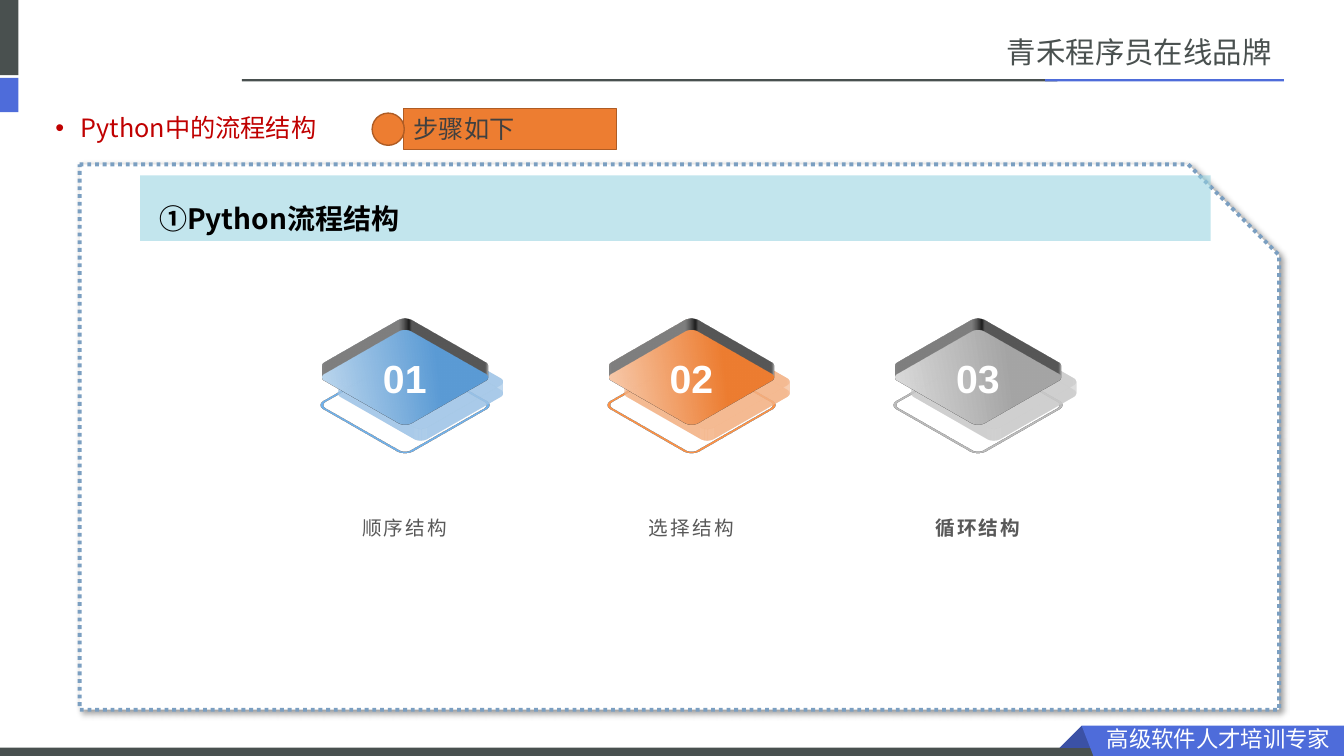
from dataclasses import dataclass

import lxml.etree
import pptx
import pptx.dml.color
import pptx.enum.dml
import pptx.enum.shapes
import pptx.enum.text
import pptx.oxml
import pptx.oxml.ns
import pptx.util

Pt = pptx.util.Pt
RGB = pptx.dml.color.RGBColor
SHAPE = pptx.enum.shapes.MSO_SHAPE
ANCHOR = pptx.enum.text.MSO_ANCHOR
ALIGN = pptx.enum.text.PP_ALIGN
qn = pptx.oxml.ns.qn

WHITE = RGB(0xFF, 0xFF, 0xFF)
BLACK = RGB(0, 0, 0)
SLATE = RGB(0x49, 0x50, 0x4F)
BLUE = RGB(0x4E, 0x6C, 0xDA)
NAVY = RGB(0x3B, 0x51, 0xA5)
RED = RGB(0xC0, 0, 0)
ORANGE = RGB(0xED, 0x7D, 0x31)
RUST = RGB(0xAF, 0x5C, 0x24)
DARK = RGB(0x40, 0x40, 0x40)
GREY = RGB(0x59, 0x59, 0x59)
STEEL = RGB(0x7B, 0x9F, 0xC1)
AQUA = RGB(0x94, 0xD2, 0xE0)
SC = "Noto Sans CJK SC"
JP = "Noto Sans CJK JP"

TILE_X, TILE_STEP = 289.1, 204.7
TILE_SIDE, TILE_TOP, OUTLINE_TOP = 87.1, 226.1, 245.5
TILE_DEPTH = 10


@dataclass
class Bar:
    x: float
    y: float
    w: float
    h: float
    color: RGB


@dataclass
class Tile:
    number: str
    label: str
    light: RGB
    main: RGB
    shade: RGB
    blur: float = 15
    bold: bool = False


BARS = [
    Bar(0, 0, 13.2, 53.6, SLATE),
    Bar(172.8, 56.6, 582.5, 1.6, SLATE),
    Bar(746.6, 56.6, 170.6, 1.6, BLUE),
    Bar(0, 55.6, 13.2, 24.6, BLUE),
    Bar(0, 534, 791, 6, SLATE),
]
TILES = [
    Tile("01", "顺序结构", RGB(0xBD, 0xD7, 0xEE), RGB(0x5B, 0x9B, 0xD5), RGB(0x9D, 0xC3, 0xE6)),
    Tile("02", "选择结构", RGB(0xF8, 0xCB, 0xAD), ORANGE, RGB(0xF4, 0xB1, 0x83), blur=27),
    Tile("03", "循环结构", RGB(0xDB, 0xDB, 0xDB), RGB(0xA5, 0xA5, 0xA5), RGB(0xC9, 0xC9, 0xC9),
         bold=True),
]


def paint(sp, fill=None, line=None, width: float = 1, alpha: int = 100):
    sp.shadow.inherit = False
    if fill is None:
        sp.fill.background()
    else:
        sp.fill.solid()
        sp.fill.fore_color.rgb = fill
        if alpha < 100:
            clr = sp.fill._xPr.find(".//" + qn("a:srgbClr"))
            lxml.etree.SubElement(clr, qn("a:alpha"), val=str(alpha * 1000))
    if line is None:
        sp.line.fill.background()
    else:
        sp.line.color.rgb = line
        sp.line.width = Pt(width)
    return sp


def add_preset(s, kind, x: float, y: float, w: float, h: float, **style):
    return paint(s.shapes.add_shape(kind, Pt(x), Pt(y), Pt(w), Pt(h)), **style)


def add_polygon(s, points: list, **style):
    (x, y), *rest = [(Pt(px), Pt(py)) for px, py in points]
    fb = s.shapes.build_freeform(x, y)
    fb.add_line_segments(rest, close=True)
    return paint(fb.convert_to_shape(), **style)


def cast_shadow(sp, color: RGB, blur: float, dist: float):
    effects = sp._element.spPr.find(qn("a:effectLst"))
    shadow = lxml.etree.SubElement(effects, qn("a:outerShdw"), blurRad=str(Pt(blur)),
                                   dist=str(Pt(dist)), dir="2700000", algn="tl", rotWithShape="0")
    clr = lxml.etree.SubElement(shadow, qn("a:srgbClr"), val=str(color))
    lxml.etree.SubElement(clr, qn("a:alpha"), val="40000")


def tilt(sp, depth: float = 0):
    spPr = sp._element.spPr
    scene = lxml.etree.SubElement(spPr, qn("a:scene3d"))
    lxml.etree.SubElement(scene, qn("a:camera"), prst="isometricTopUp")
    lxml.etree.SubElement(scene, qn("a:lightRig"), rig="threePt", dir="t")
    if depth:
        lxml.etree.SubElement(spPr, qn("a:sp3d"), extrusionH=str(Pt(depth)))


def write(sp, text: str, size: float, color: RGB, font: str = SC, bold: bool = False,
          align=ALIGN.LEFT, anchor=ANCHOR.TOP, inset: tuple = (3.6, 3.6), spacing=None):
    tf = sp.text_frame
    tf.word_wrap = True
    tf.vertical_anchor = anchor
    tf.margin_left = tf.margin_right = Pt(inset[0])
    tf.margin_top = tf.margin_bottom = Pt(inset[1])
    p = tf.paragraphs[0]
    p.alignment = align
    p.space_before = Pt(0)
    if spacing is not None:
        p.line_spacing = spacing
    r = p.add_run()
    r.text = text
    r.font.size, r.font.bold, r.font.name = Pt(size), bold, font
    r.font.color.rgb = color
    ea = lxml.etree.SubElement(r._r.get_or_add_rPr(), qn("a:ea"))
    ea.set("typeface", SC if font == "Arial" else font)
    return r


def add_text(s, x: float, y: float, w: float, h: float, text: str, size: float,
             color: RGB, **style):
    box = s.shapes.add_textbox(Pt(x), Pt(y), Pt(w), Pt(h))
    return write(box, text, size, color, **style)


def add_tile_face(s, cx: float, y: float, **style):
    sp = add_preset(s, SHAPE.ROUNDED_RECTANGLE, cx - TILE_SIDE / 2, y, TILE_SIDE, TILE_SIDE,
                    width=2, **style)
    sp.adjustments[0] = 0.076
    sp.rotation = 180
    return sp


def add_tile(s, tile: Tile, cx: float):
    tilt(add_tile_face(s, cx, OUTLINE_TOP, line=tile.main))
    slab = add_tile_face(s, cx, TILE_TOP, line=WHITE)
    slab.fill.gradient()
    slab.fill.gradient_angle = 320
    for stop, (position, color) in zip(slab.fill.gradient_stops,
                                       [(0, tile.light), (0.7, tile.main)]):
        stop.position = position
        stop.color.rgb = color
    cast_shadow(slab, tile.shade, tile.blur, 16)
    tilt(slab, TILE_DEPTH)
    add_text(s, cx - 24.5, 251.3, 49, 36.7, tile.number, 28, WHITE, font="Arial", bold=True,
             align=ALIGN.CENTER, anchor=ANCHOR.MIDDLE, inset=(0, 0))
    r = add_text(s, cx - 69, 363.6, 138, 93.6, tile.label, 14, GREY, font="Arial",
                 bold=tile.bold, align=ALIGN.CENTER, inset=(5.8, 0), spacing=1.3)
    r._r.get_or_add_rPr().set("spc", "150")


def add_title(s):
    title = s.shapes.title
    title.left, title.top, title.width, title.height = Pt(36), Pt(79.2), Pt(842.4), Pt(27.4)
    pPr = title.text_frame.paragraphs[0]._p.get_or_add_pPr()
    pPr.set("marL", str(Pt(18)))
    pPr.set("indent", str(-Pt(18)))
    font = lxml.etree.SubElement(pPr, qn("a:buFont"))
    font.set("typeface", "Arial")
    lxml.etree.SubElement(pPr, qn("a:buChar")).set("char", "•")
    write(title, "Python中的流程结构", 18, RED, font=JP, spacing=0.9)


def add_frame(s):
    frame = add_preset(s, SHAPE.SNIP_1_RECTANGLE, 56.9, 117.4, 856.8, 389.5,
                       fill=WHITE, line=STEEL, width=2.75)
    frame.line.dash_style = pptx.enum.dml.MSO_LINE.ROUND_DOT
    cast_shadow(frame, BLACK, 4, 3)


def main():
    prs = pptx.Presentation()
    prs.slide_width, prs.slide_height = Pt(960), Pt(540)
    s = prs.slides.add_slide(prs.slide_layouts[5])
    add_title(s)
    for bar in BARS:
        add_preset(s, SHAPE.RECTANGLE, bar.x, bar.y, bar.w, bar.h, fill=bar.color)
    add_polygon(s, [(772.6, 518.4), (788.4, 534.2), (756.8, 534.2)], fill=NAVY)
    add_polygon(s, [(772.6, 518.4), (960, 518.4), (960, 540), (781, 540)], fill=BLUE)
    add_text(s, 787, 514.4, 170, 26, "高级软件人才培训专家", 16, WHITE)
    add_text(s, 715.7, 20.9, 202, 32.4, "青禾程序员在线品牌", 21, SLATE)
    add_frame(s)
    steps = add_preset(s, SHAPE.RECTANGLE, 288.4, 77.5, 152, 29.2, fill=ORANGE, line=RUST)
    write(steps, "步骤如下", 18, DARK, font=JP, anchor=ANCHOR.MIDDLE, inset=(7.2, 0))
    add_preset(s, SHAPE.OVAL, 265.8, 80.8, 23, 23, fill=ORANGE, line=RUST)
    add_preset(s, SHAPE.RECTANGLE, 100.1, 125.3, 764.8, 46.8, fill=AQUA, alpha=56)
    add_text(s, 106.6, 133.2, 746.6, 51, "①Python流程结构", 20, BLACK, bold=True,
             inset=(7.2, 3.6), spacing=Pt(31.4))
    for i, tile in enumerate(TILES):
        add_tile(s, tile, TILE_X + i * TILE_STEP)
    prs.save("out.pptx")


if __name__ == "__main__":
    main()
